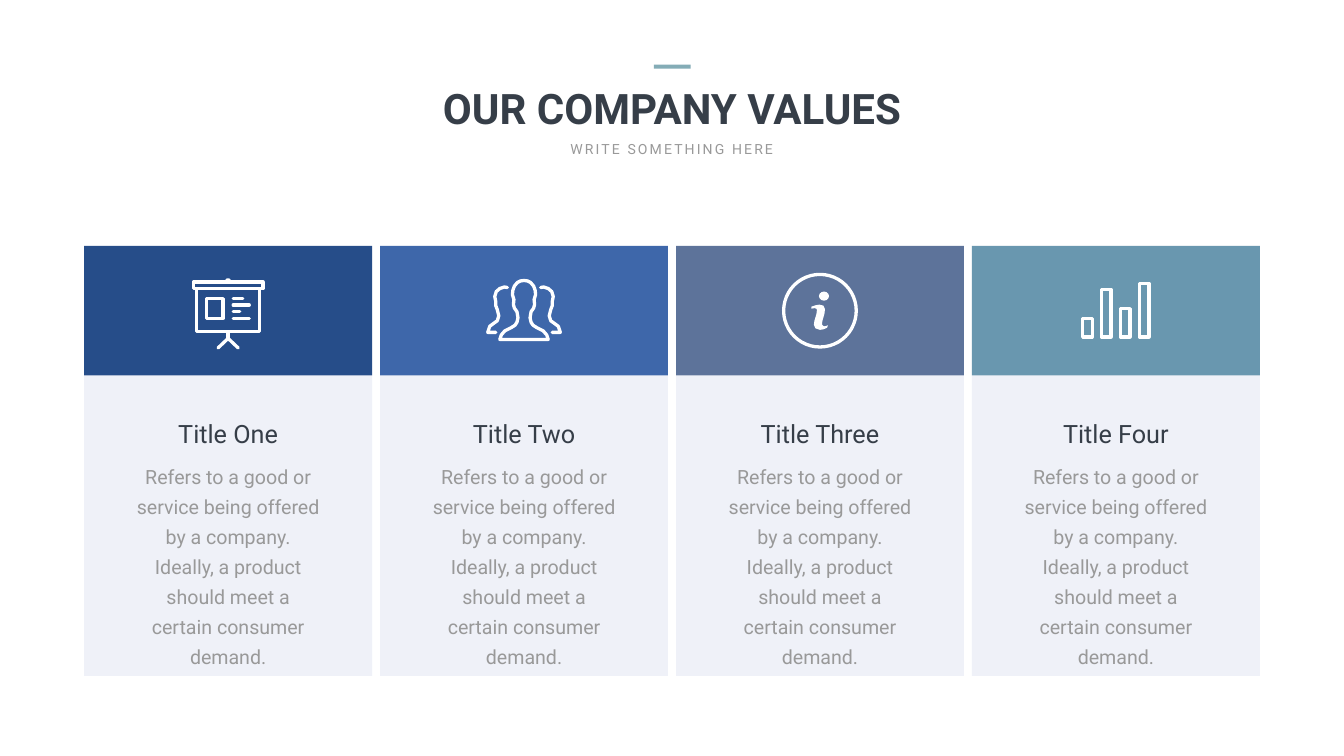
"""Build the company values slide: a heading above four cards with line icons."""
from lxml import etree
from pptx import Presentation
from pptx.dml.color import RGBColor
from pptx.enum.shapes import MSO_SHAPE
from pptx.enum.text import PP_ALIGN
from pptx.oxml.ns import qn
from pptx.util import Inches, Pt

RECTANGLE, OVAL = MSO_SHAPE.RECTANGLE, MSO_SHAPE.OVAL
CENTER = PP_ALIGN.CENTER
FONT = "Roboto"
COLORS = {"dark": "363E48", "grey": "999999", "accent": "84ACB6", "panel": "EFF1F8",
          "navy": "264D89", "blue": "3E67AA", "slate": "5D739A", "teal": "6997AF",
          "white": "FFFFFF"}
BODY = ("Refers to a good or service being offered by a company. "
        "Ideally, a product should meet a certain consumer demand.")
CARDS = [("Title One", 2.22, "navy", "board"), ("Title Two", 2.29, "blue", "people"),
         ("Title Three", 2.61, "slate", "info"), ("Title Four", 2.37, "teal", "bars")]
CARD_LEFT, CARD_PITCH, CARD_WIDTH = 1.67, 5.87, 5.71
HEADER_TOP, HEADER_HEIGHT, PANEL_HEIGHT = 4.88, 2.57, 5.96
BODY_WIDTH, ICON_STROKE = 4.21, 4.7

BOARD_FRAMES = [(-0.62, -0.44, 1.24, 0.86), (-0.69, -0.57, 1.38, 0.13),
                (-0.43, -0.24, 0.33, 0.39)]
BOARD_STROKES = [[(0.1, -0.24), (0.29, -0.24)], [(0.1, -0.11), (0.42, -0.11)],
                 [(0.1, 0.02), (0.23, 0.02)], [(0.1, 0.15), (0.42, 0.15)],
                 [(0, 0.42), (0, 0.55)], [(-0.2, 0.74), (0, 0.55), (0.2, 0.74)],
                 [(-0.03, -0.59), (0, -0.62), (0.03, -0.59)]]
BAR_HEIGHTS = [0.37, 0.94, 0.56, 1.06]
BAR_LEFT, BAR_PITCH, BAR_WIDTH, BAR_BOTTOM = -0.66, 0.375, 0.19, 0.52
FRONT_PERSON = [(0, -0.6), (0.07, -0.59), (0.13, -0.56), (0.19, -0.49), (0.22, -0.41),
                (0.23, -0.32), (0.2, -0.22), (0.21, -0.12), (0.19, -0.05), (0.14, 0.02),
                (0.12, 0.14), (0.14, 0.23), (0.18, 0.29), (0.26, 0.34), (0.38, 0.4),
                (0.45, 0.48), (0.48, 0.57)]
SIDE_PERSON = [(0.33, -0.46), (0.39, -0.47), (0.48, -0.44), (0.55, -0.38), (0.58, -0.28),
               (0.56, -0.18), (0.56, -0.1), (0.53, -0.02), (0.5, 0.1), (0.53, 0.2),
               (0.6, 0.25), (0.68, 0.31), (0.72, 0.43), (0.56, 0.43)]
INFO_STEM = [(-0.17, -0.08), (-0.08, -0.11), (-0.01, -0.12), (0.07, -0.1), (0.1, -0.03),
             (0.09, 0.06), (0.05, 0.2), (0.04, 0.27), (0.06, 0.3), (0.1, 0.31),
             (0.16, 0.29), (0.14, 0.34), (0.07, 0.37), (0, 0.38), (-0.09, 0.35),
             (-0.12, 0.28), (-0.11, 0.2), (-0.07, 0.07), (-0.06, -0.01), (-0.07, -0.04),
             (-0.11, -0.05), (-0.17, -0.04)]


def color(name):
    return RGBColor.from_string(COLORS[name])


def style(shape, fill=None, stroke=None):
    shape.shadow.inherit = False
    if fill:
        shape.fill.solid()
        shape.fill.fore_color.rgb = color(fill)
    else:
        shape.fill.background()
    if stroke:
        shape.line.color.rgb = color(stroke)
        shape.line.width = Pt(ICON_STROKE)
        outline = shape._element.spPr.find(qn("a:ln"))
        outline.set("cap", "rnd")
        etree.SubElement(outline, qn("a:round"))
    else:
        shape.line.fill.background()


def add_block(page, kind, left, top, width, height, **look):
    shape = page.shapes.add_shape(kind, *map(Inches, (left, top, width, height)))
    style(shape, **look)


def add_outline(page, middle_x, middle_y, closed=(), opened=(), **look):
    builder = None
    for points in [*closed, *opened]:
        spots = [(Inches(middle_x + x), Inches(middle_y + y)) for x, y in points]
        if builder:
            builder.move_to(*spots[0])
        else:
            builder = page.shapes.build_freeform(*spots[0])
        builder.add_line_segments(spots[1:], close=points in closed)
    style(builder.convert_to_shape(), **look)


def add_text(page, text, left, top, width, height, size, ink, bold=False, wrap=True,
             tracking=0, spacing=None, inset=(0.1, 0.05)):
    box = page.shapes.add_textbox(*map(Inches, (left, top, width, height)))
    frame = box.text_frame
    frame.word_wrap = wrap
    frame.margin_left = frame.margin_right = Inches(inset[0])
    frame.margin_top = frame.margin_bottom = Inches(inset[1])
    para = frame.paragraphs[0]
    para.alignment = CENTER
    if spacing:
        para.line_spacing = Pt(spacing)
    span = para.add_run()
    span.text = text
    span.font.name, span.font.size, span.font.bold = FONT, Pt(size), bold
    span.font.color.rgb = color(ink)
    if tracking:
        span.font._element.set("spc", str(tracking * 100))


def mirror(points):
    return [(-x, y) for x, y in points]


def corners(left, top, width, height):
    right, bottom = left + width, top + height
    return [(left, top), (right, top), (right, bottom), (left, bottom)]


def draw_board(page, x, y):
    frames = [corners(*frame) for frame in BOARD_FRAMES]
    add_outline(page, x, y, closed=frames, opened=BOARD_STROKES, stroke="white")


def draw_people(page, x, y):
    front = FRONT_PERSON + mirror(FRONT_PERSON[:0:-1])
    add_outline(page, x, y, closed=[front], opened=[SIDE_PERSON, mirror(SIDE_PERSON)],
                stroke="white")


def draw_info(page, x, y):
    add_block(page, OVAL, x - 0.72, y - 0.72, 1.44, 1.44, stroke="white")
    add_block(page, OVAL, x - 0.02, y - 0.38, 0.2, 0.18, fill="white")
    add_outline(page, x, y, closed=[INFO_STEM], fill="white")


def draw_bars(page, x, y):
    bars = [corners(BAR_LEFT + index * BAR_PITCH, BAR_BOTTOM - height, BAR_WIDTH, height)
            for index, height in enumerate(BAR_HEIGHTS)]
    add_outline(page, x, y, closed=bars, stroke="white")


ICONS = {"board": draw_board, "people": draw_people, "info": draw_info, "bars": draw_bars}


def add_card(page, index, title, title_width, header, icon):
    left = CARD_LEFT + index * CARD_PITCH
    middle = left + CARD_WIDTH / 2
    panel_top = HEADER_TOP + HEADER_HEIGHT
    add_block(page, RECTANGLE, left, panel_top, CARD_WIDTH, PANEL_HEIGHT, fill="panel")
    add_block(page, RECTANGLE, left, HEADER_TOP, CARD_WIDTH, HEADER_HEIGHT, fill=header)
    add_text(page, BODY, middle - BODY_WIDTH / 2, 8.97, BODY_WIDTH, 3.83, 28, "grey",
             spacing=43, inset=(0.24, 0.12))
    add_text(page, title, middle - title_width / 2, 8.26, title_width, 0.71, 36, "dark",
             wrap=False)
    ICONS[icon](page, middle, HEADER_TOP + HEADER_HEIGHT / 2)


def main():
    deck = Presentation()
    deck.slide_width, deck.slide_height = Inches(26.66), Inches(15)
    page = deck.slides.add_slide(deck.slide_layouts[6])
    add_text(page, "OUR COMPANY VALUES", 7.7, 1.59, 11.26, 1.11, 60, "dark", bold=True)
    add_text(page, "WRITE SOMETHING HERE", 11.15, 2.74, 4.35, 0.44, 20, "grey",
             wrap=False, tracking=3)
    add_block(page, RECTANGLE, 12.97, 1.28, 0.73, 0.08, fill="accent")
    for index, card in enumerate(CARDS):
        add_card(page, index, *card)
    deck.save("out.pptx")


if __name__ == "__main__":
    main()
